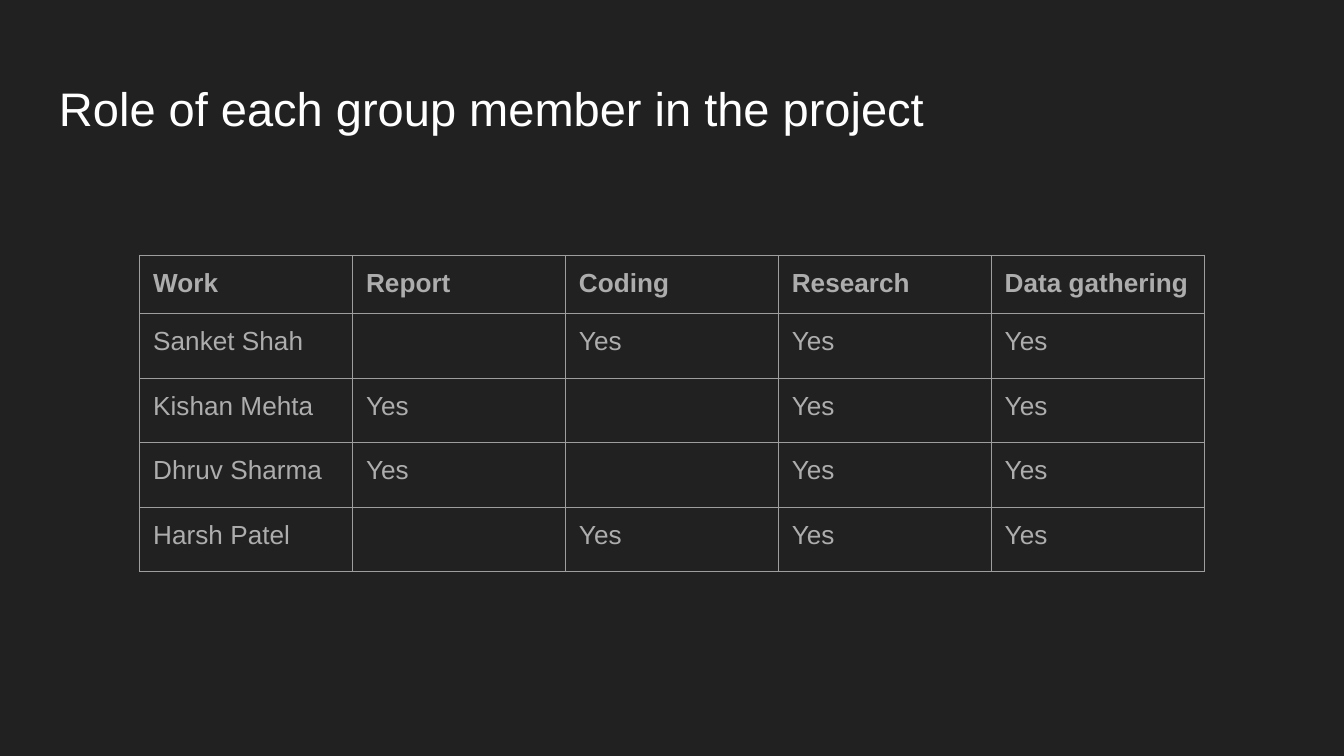
from lxml import etree
from pptx import Presentation
from pptx import util as u
from pptx.dml.color import RGBColor
from pptx.enum import text
from pptx.oxml import ns

BACKGROUND = RGBColor(0x21, 0x21, 0x21)
WHITE = RGBColor(0xFF, 0xFF, 0xFF)
GREY = RGBColor(0xAD, 0xAD, 0xAD)
BORDER = RGBColor(0x9E, 0x9E, 0x9E)

FONT = "Arial"
INSET = u.Inches(0.1)
TABLE_WIDTH = u.Inches(7.92)
HEADER_ROW, MEMBER_ROW = u.Inches(0.42), u.Inches(0.48)

ROLES = [
    ["Work", "Report", "Coding", "Research", "Data gathering"],
    ["Sanket Shah", "", "Yes", "Yes", "Yes"],
    ["Kishan Mehta", "Yes", "", "Yes", "Yes"],
    ["Dhruv Sharma", "Yes", "", "Yes", "Yes"],
    ["Harsh Patel", "", "Yes", "Yes", "Yes"],
]


def set_text(tf, content, size, color, bold=False):
    tf.text = content
    p = tf.paragraphs[0]
    for r in p.runs:
        r.font.name = FONT
        r.font.size = u.Pt(size)
        r.font.bold = bold
        r.font.color.rgb = color
    if not content:
        # An empty cell takes its line height from the paragraph end
        end = etree.SubElement(p._p, ns.qn("a:endParaRPr"), sz=str(size * 100))
        etree.SubElement(end, ns.qn("a:latin"), typeface=FONT)


def set_insets(box):
    box.margin_left = box.margin_right = INSET
    box.margin_top = box.margin_bottom = INSET


def add_borders(cell):
    """Draw all four sides; lines must precede the fill in tcPr."""
    tcPr = cell._tc.get_or_add_tcPr()
    for i, side in enumerate(("lnL", "lnR", "lnT", "lnB")):
        ln = etree.Element(ns.qn(f"a:{side}"), w=str(u.Pt(0.75)))
        fill = etree.SubElement(ln, ns.qn("a:solidFill"))
        etree.SubElement(fill, ns.qn("a:srgbClr"), val=str(BORDER))
        tcPr.insert(i, ln)


def add_title(s, content):
    box = s.shapes.add_textbox(u.Inches(0.34), u.Inches(0.49),
                               u.Inches(9.32), u.Inches(0.63))
    tf = box.text_frame
    tf.word_wrap = True
    tf.vertical_anchor = text.MSO_ANCHOR.MIDDLE
    set_insets(tf)
    set_text(tf, content, 25.2, WHITE)


def add_role_table(s, rows):
    n_rows, n_cols = len(rows), len(rows[0])
    height = HEADER_ROW + (n_rows - 1) * MEMBER_ROW
    table = s.shapes.add_table(n_rows, n_cols, u.Inches(1.04), u.Inches(1.9),
                               TABLE_WIDTH, height).table
    for column in table.columns:
        column.width = TABLE_WIDTH // n_cols
    for i, row in enumerate(rows):
        table.rows[i].height = MEMBER_ROW if i else HEADER_ROW
        for j, content in enumerate(row):
            cell = table.cell(i, j)
            set_insets(cell)
            cell.fill.background()
            add_borders(cell)
            set_text(cell.text_frame, content, 14, GREY, bold=i == 0)


def main():
    # Widescreen slide, 16:9
    prs = Presentation()
    prs.slide_width = u.Inches(10)
    prs.slide_height = prs.slide_width * 9 // 16
    s = prs.slides.add_slide(prs.slide_layouts[6])

    # Dark background
    s.background.fill.solid()
    s.background.fill.fore_color.rgb = BACKGROUND

    # Title and the table of roles
    add_title(s, "Role of each group member in the project")
    add_role_table(s, ROLES)

    prs.save("out.pptx")


if __name__ == "__main__":
    main()
